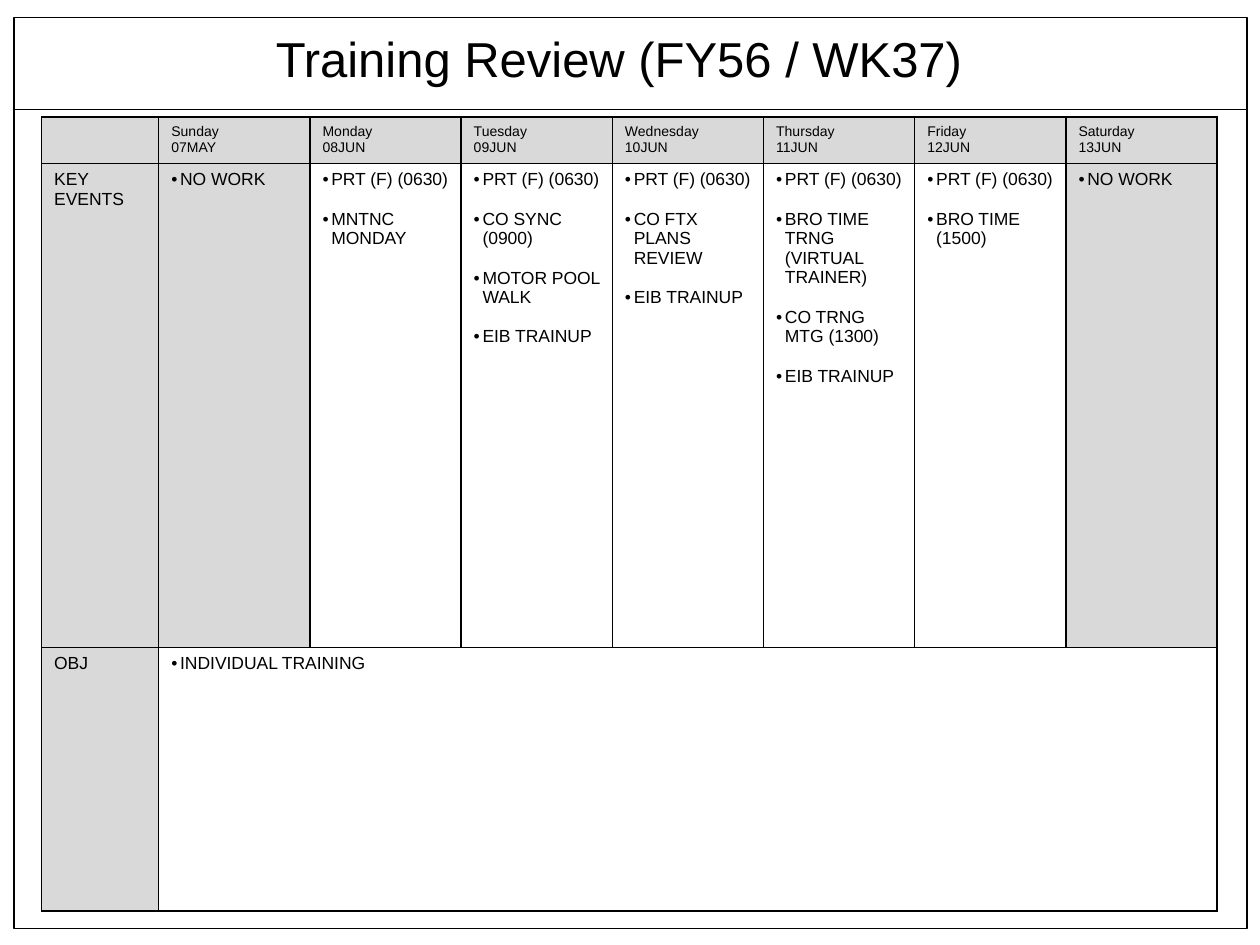
from lxml.etree import SubElement
from pptx import Presentation
from pptx.dml.color import RGBColor
from pptx.enum.shapes import MSO_CONNECTOR, MSO_SHAPE
from pptx.oxml.ns import qn
from pptx.util import Inches, Pt

TITLE = "Training Review (FY56 / WK37)"
PRT, EIB = "PRT (F) (0630)", "EIB TRAINUP"
DAYS = [
    ("Sunday", "07MAY", ["NO WORK"]),
    ("Monday", "08JUN", [PRT, "MNTNC MONDAY"]),
    ("Tuesday", "09JUN", [PRT, "CO SYNC (0900)", "MOTOR POOL WALK", EIB]),
    ("Wednesday", "10JUN", [PRT, "CO FTX PLANS REVIEW", EIB]),
    ("Thursday", "11JUN", [PRT, "BRO TIME TRNG (VIRTUAL TRAINER)",
                           "CO TRNG MTG (1300)", EIB]),
    ("Friday", "12JUN", [PRT, "BRO TIME (1500)"]),
    ("Saturday", "13JUN", ["NO WORK"]),
]
LABELS = ["", "KEY EVENTS", "OBJ"]
GOALS = ["INDIVIDUAL TRAINING"]
COLS = [0.93] + [1.2] * len(DAYS)
ROWS = [0.37, 3.84, 2.09]
THEME = {
    "font": "Arial", "ink": "000000", "gray": "D9D9D9", "white": "FFFFFF",
    "title": 28, "head": 8, "body": 10, "line": 1,
}


def color(name):
    """Return a theme colour."""
    return RGBColor.from_string(THEME[name])


def style(font, size):
    """Set the theme font at a named size."""
    font.name = THEME["font"]
    font.size = Pt(THEME[size])
    font.color.rgb = color("ink")


def stroke(line):
    """Give a line the theme ink and width."""
    line.color.rgb = color("ink")
    line.width = Pt(THEME["line"])


def bullet(para):
    """Make a paragraph a hanging bullet."""
    props = para._p.get_or_add_pPr()
    props.set("marL", str(Inches(0.07)))
    props.set("indent", str(-Inches(0.07)))
    SubElement(props, qn("a:buFont"), typeface=THEME["font"])
    SubElement(props, qn("a:buChar"), char="•")


def write(frame, lines, size, listed=False):
    """Fill a text frame with one paragraph per line."""
    for i, text in enumerate(lines):
        para = frame.add_paragraph() if i else frame.paragraphs[0]
        if listed:
            if i:
                para.space_before = Pt(11.3)
            bullet(para)
        if text:
            run = para.add_run()
            run.text = text
            style(run.font, size)
        else:
            style(para.font, size)


def border(cell):
    """Draw all four sides of a cell."""
    props = cell._tc.get_or_add_tcPr()
    for side in ("lnL", "lnR", "lnT", "lnB"):
        line = SubElement(props, qn(f"a:{side}"), w=str(Pt(THEME["line"])))
        fill = SubElement(line, qn("a:solidFill"))
        SubElement(fill, qn("a:srgbClr"), val=THEME["ink"])


def frame(slide):
    """Draw the page outline, title rule and title."""
    box = slide.shapes.add_shape(
        MSO_SHAPE.RECTANGLE, Inches(0.11), Inches(0.14), Inches(9.79), Inches(7.23))
    box.shadow.inherit = False
    box.fill.background()
    stroke(box.line)
    rule = slide.shapes.add_connector(
        MSO_CONNECTOR.STRAIGHT, Inches(0.1), Inches(0.87), Inches(9.89), Inches(0.87))
    stroke(rule.line)
    SubElement(rule._element.spPr, qn("a:effectLst"))
    head = slide.shapes.add_textbox(
        Inches(2.09), Inches(0.18), Inches(5.82), Inches(0.57))
    head.text_frame.word_wrap = True
    write(head.text_frame, [TITLE], "title")


def plan(slide):
    """Build the weekly table."""
    table = slide.shapes.add_table(
        len(ROWS), len(COLS), Inches(0.33), Inches(0.93),
        Inches(sum(COLS)), Inches(sum(ROWS))).table
    for col, width in zip(table.columns, COLS):
        col.width = Inches(width)
    for row, height in zip(table.rows, ROWS):
        row.height = Inches(height)
    for r in range(len(ROWS)):
        for c in range(len(COLS)):
            cell = table.cell(r, c)
            border(cell)
            shade = r == 0 or c == 0 or (r == 1 and c in (1, len(DAYS)))
            cell.fill.solid()
            cell.fill.fore_color.rgb = color("gray" if shade else "white")
    for r, label in enumerate(LABELS):
        write(table.cell(r, 0).text_frame, [label], "body" if r else "head")
    for c, (day, date, events) in enumerate(DAYS, 1):
        write(table.cell(0, c).text_frame, [day, date], "head")
        write(table.cell(1, c).text_frame, events, "body", True)
    goal = table.cell(2, 1)
    goal.merge(table.cell(2, len(DAYS)))
    write(goal.text_frame, GOALS, "body", True)


def main():
    """Build and save the slide."""
    deck = Presentation()
    deck.slide_width, deck.slide_height = Inches(10), Inches(7.5)
    slide = deck.slides.add_slide(deck.slide_layouts[6])
    frame(slide)
    plan(slide)
    deck.save("out.pptx")


if __name__ == "__main__":
    main()
